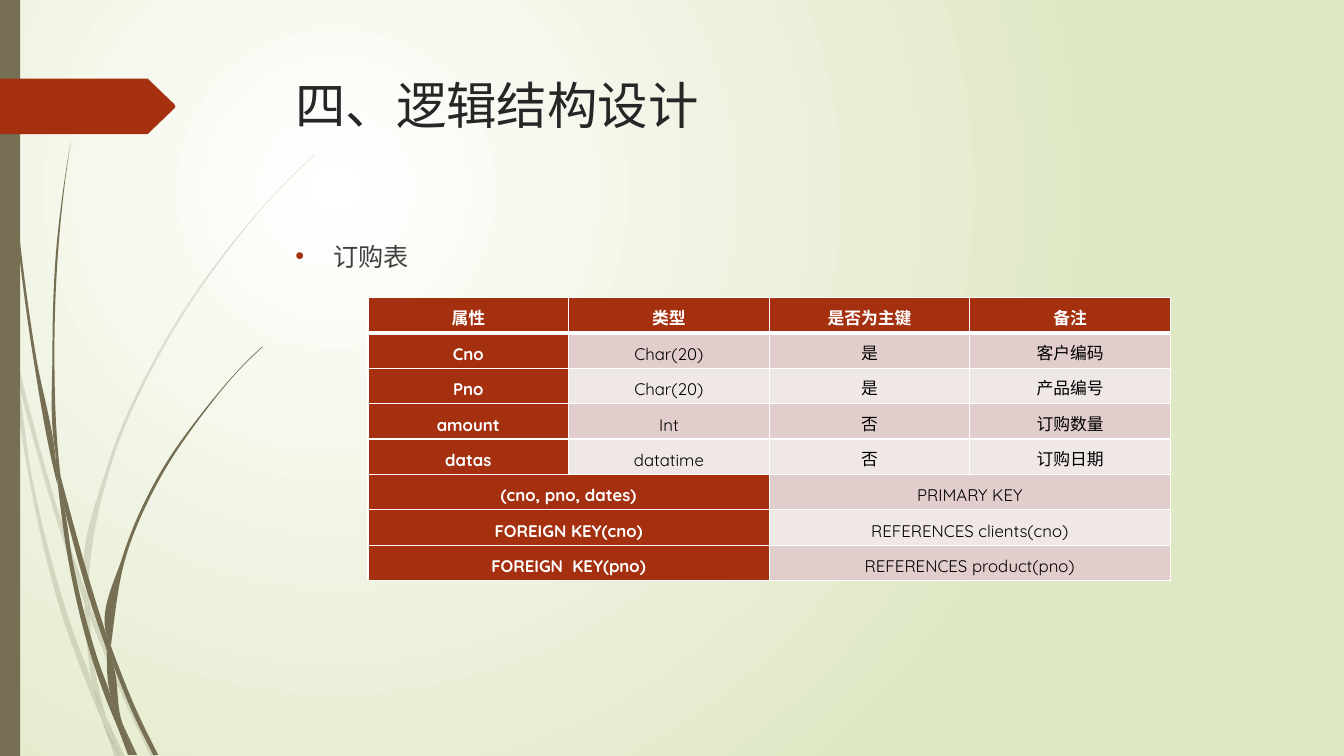
from lxml.etree import SubElement
from pptx import Presentation
from pptx.dml.color import RGBColor
from pptx.enum.text import MSO_ANCHOR as Anchor, PP_ALIGN as Align
from pptx.enum.shapes import MSO_SHAPE as Shape
from pptx.oxml import parse_xml
from pptx.oxml.ns import nsdecls, qn
from pptx.util import Inches, Pt

W, H = 13.33, 7.5
FONT = "Quicksand"
RED, OLIVE, WHITE, BLACK = "A53010", "766F54", "FFFFFF", "000000"
BANDS = ["E1CDCC", "F0E8E7"]

# Each blade piece has two edges, both running from one tip to the other
PALE_BLADES = [
    ([(0, 2.82), (0.09, 3.22), (0.11, 3.5)], [(0, 2.99), (0.1, 3.44), (0.11, 3.5)]),
    ([(0.14, 3.45), (0.62, 5.2), (0.85, 5.86)], [(0.17, 3.76), (0.58, 5.22), (0.84, 5.99)]),
    ([(0.88, 5.96), (0.92, 6.07), (1.27, 6.92), (1.55, 7.51)],
     [(0.88, 6.1), (1.23, 6.94), (1.5, 7.51)]),
    ([(1.05, 7.11), (1.24, 7.51)], [(1.05, 7.11), (1.19, 7.51)]),
    ([(0.11, 3.5), (0.17, 3.76), (0.31, 4.69), (0.7, 6.19), (0.93, 6.83), (1.01, 7.14)],
     [(0.11, 3.5), (0.28, 4.7), (0.65, 6.21), (0.92, 6.93), (1.01, 7.14)]),
    ([(0.84, 5.99), (0.88, 6.1), (0.91, 6.46), (1.05, 7.11)],
     [(0.84, 5.99), (0.87, 6.46), (0.93, 6.83), (1.05, 7.11)]),
    ([(3.12, 1.53), (2.89, 1.75), (2.68, 1.97), (2.28, 2.44), (1.58, 3.48), (1.07, 4.61),
      (0.85, 5.84), (0.88, 5.96)],
     [(3.12, 1.54), (2.9, 1.75), (2.68, 1.98), (2.29, 2.45), (1.6, 3.49), (1.1, 4.62),
      (0.88, 5.84), (0.88, 5.96)]),
    ([(1.01, 7.14), (1.19, 7.51)], [(1.01, 7.14), (1.14, 7.51)]),
    ([(0.85, 5.86), (0.88, 5.96), (0.88, 6.1)], [(0.85, 5.86), (0.84, 5.99), (0.88, 6.1)]),
    ([(0.93, 6.83), (1.05, 7.11), (1.19, 7.51)],
     [(0.93, 6.83), (0.99, 7.07), (1.01, 7.14), (1.19, 7.51)]),
]
DARK_BLADES = [
    ([(0.04, 0), (0.05, 0.48), (0.08, 1.09), (0.19, 2.32), (0.36, 3.55), (0.55, 4.53), (0.57, 4.81)],
     [(0.03, 0), (0.04, 0.48), (0.07, 1.1), (0.17, 2.33), (0.33, 3.55), (0.56, 4.77), (0.57, 4.81)]),
    ([(0.6, 4.72), (0.93, 5.9), (1.06, 6.31)], [(0.64, 5.05), (0.88, 5.92), (1.06, 6.45)]),
    ([(1.1, 6.41), (1.13, 6.49), (1.36, 7.06), (1.57, 7.49)],
     [(1.11, 6.56), (1.32, 7.08), (1.52, 7.49)]),
    ([(0.57, 4.77), (0.64, 5.05), (0.72, 5.56), (0.98, 6.57), (1.1, 6.91), (1.17, 7.22)],
     [(0.57, 4.77), (0.68, 5.57), (0.93, 6.59), (1.11, 7.08), (1.17, 7.22)]),
    ([(0.7, 1.41), (0.63, 1.93), (0.58, 2.45), (0.54, 3.49), (0.58, 4.53), (0.6, 4.72)],
     [(0.7, 1.41), (0.62, 1.93), (0.56, 2.45), (0.52, 3.49), (0.55, 4.49), (0.6, 4.72)]),
    ([(1.22, 7.19), (1.36, 7.49)], [(1.22, 7.19), (1.33, 7.49)]),
    ([(0.55, 4.49), (0.6, 4.72), (0.64, 5.05)], [(0.55, 4.49), (0.57, 4.77), (0.64, 5.05)]),
    ([(2.6, 3.44), (2.45, 3.58), (2.31, 3.73), (2.04, 4.05), (1.56, 4.74), (1.22, 5.51),
      (1.06, 6.31), (1.1, 6.41)],
     [(2.61, 3.44), (2.45, 3.59), (2.31, 3.74), (2.05, 4.06), (1.58, 4.76), (1.25, 5.52),
      (1.11, 6.33), (1.1, 6.41)]),
    ([(1.17, 7.22), (1.31, 7.49)], [(1.17, 7.22), (1.27, 7.49)]),
    ([(1.06, 6.45), (1.11, 6.56), (1.21, 7.16), (1.22, 7.19)],
     [(1.06, 6.45), (1.1, 6.91), (1.22, 7.19)]),
    ([(1.06, 6.31), (1.1, 6.41), (1.11, 6.56)], [(1.06, 6.31), (1.06, 6.45), (1.11, 6.56)]),
    ([(1.1, 6.91), (1.22, 7.19), (1.33, 7.49)], [(1.1, 6.91), (1.17, 7.22), (1.3, 7.49)]),
]

ROWS = [
    ["属性", "类型", "是否为主键", "备注"],
    ["Cno", "Char(20)", "是", "客户编码"],
    ["Pno", "Char(20)", "是", "产品编号"],
    ["amount", "Int", "否", "订购数量"],
    ["datas", "datatime", "否", "订购日期"],
    ["(cno, pno, dates)", "PRIMARY KEY"],
    ["FOREIGN KEY(cno)", "REFERENCES clients(cno)"],
    ["FOREIGN  KEY(pno)", "REFERENCES product(pno)"],
]


def rgb(color):
    return RGBColor.from_string(color)


def paint(sp, color):
    sp.shadow.inherit = False
    sp.fill.solid()
    sp.fill.fore_color.rgb = rgb(color)
    sp.line.fill.background()


def handles(edge):
    """Two Bézier control points for each step of a smooth edge."""
    pts = [complex(*pt) for pt in edge]
    steps = [b - a for a, b in zip(pts, pts[1:])]
    units = [d / abs(d) for d in steps]
    inner = [(u * abs(e) + v * abs(d)) / (abs(d) + abs(e))
             for d, e, u, v in zip(steps, steps[1:], units, units[1:])]
    ends = inner or units
    slopes = [1.5 * units[0] - 0.5 * ends[0], *inner, 1.5 * units[-1] - 0.5 * ends[-1]]
    return [(a + m * abs(d) / 3, a + d - n * abs(d) / 3)
            for a, d, m, n in zip(pts, steps, slopes, slopes[1:])]


def outline(shapes, x, y, points, color):
    emu = [(Inches(x + px), Inches(y + py)) for px, py in points]
    builder = shapes.build_freeform(*emu[0])
    builder.add_line_segments(emu[1:], close=True)
    sp = builder.convert_to_shape()
    paint(sp, color)
    return sp


def add_blade(shapes, x, y, left, right):
    back = right[::-1]
    joined = left[-1] == back[0]
    points = left + back[joined:]
    sp = outline(shapes, x, y, points, OLIVE)
    x0, y0 = (min(values) for values in zip(*points))
    controls = handles(left) + [None] * (not joined) + handles(back)
    for step, pair in zip(list(sp._element.iter(qn("a:lnTo"))), controls):
        if pair:
            step.tag = qn("a:cubicBezTo")
            for i, c in enumerate(pair):
                pt = parse_xml(f'<a:pt {nsdecls("a")} x="{Inches(c.real - x0)}" y="{Inches(c.imag - y0)}"/>')
                step.insert(i, pt)
    return sp


def add_backdrop(s):
    fill = s.background.fill
    fill.gradient()
    for stop, color in zip(fill.gradient_stops, (WHITE, "DFE8C4")):
        stop.color.rgb = rgb(color)
    grad = next(s._element.iter(qn("a:gradFill")))
    grad.remove(grad.find(qn("a:lin")))
    grad.append(parse_xml(
        f'<a:path {nsdecls("a")} path="circle">'
        '<a:fillToRect l="50000" t="50000" r="100000" b="100000"/></a:path>'))


def add_grass(s, x, y, blades, opacity=100):
    group = s.shapes.add_group_shape()
    for left, right in blades:
        sp = add_blade(group.shapes, x, y, left, right)
        if opacity < 100:
            color = next(sp._element.spPr.iter(qn("a:srgbClr")))
            SubElement(color, qn("a:alpha"), val=str(opacity * 1000))


def add_sidebar(s, x, y, w, h):
    paint(s.shapes.add_shape(Shape.RECTANGLE, Inches(x), Inches(y), Inches(w), Inches(h)), OLIVE)


def add_tag(s, x, y, w, h):
    tip = h / 2
    points = [(0, 0), (w - tip, 0), (w - 0.01, tip - 0.02), (w, tip), (w - 0.01, tip + 0.02),
              (w - tip, h), (0, h)]
    outline(s.shapes, x, y, points, RED)


def add_text(s, x, y, w, h, text, size, color):
    tf = s.shapes.add_textbox(Inches(x), Inches(y), Inches(w), Inches(h)).text_frame
    tf.word_wrap = True
    p = tf.paragraphs[0]
    p.text = text
    p.font.size, p.font.name, p.font.color.rgb = Pt(size), FONT, rgb(color)
    return p


def add_bullet(p, indent):
    p.space_before = Pt(10)
    pPr = p._p.get_or_add_pPr()
    pPr.set("marL", str(Inches(indent)))
    pPr.set("indent", str(-Inches(indent)))
    for xml in (f'<a:buClr {nsdecls("a")}><a:srgbClr val="{RED}"/></a:buClr>',
                f'<a:buFont {nsdecls("a")} typeface="Arial"/>',
                f'<a:buChar {nsdecls("a")} char="•"/>'):
        pPr.insert_element_before(parse_xml(xml), "a:tabLst", "a:defRPr", "a:extLst")


def style_cell(cell, row, fill):
    cell.fill.solid()
    cell.fill.fore_color.rgb = rgb(fill)
    cell.vertical_anchor = Anchor.MIDDLE
    cell.margin_left = cell.margin_right = Inches(0.07)
    cell.margin_top = cell.margin_bottom = 0
    for i, side in enumerate(("lnL", "lnR", "lnT", "lnB")):
        width = 3 if row == 0 and side == "lnB" else 1
        cell._tc.get_or_add_tcPr().insert(i, parse_xml(
            f'<a:{side} {nsdecls("a")} w="{Pt(width)}"><a:solidFill>'
            f'<a:srgbClr val="{WHITE}"/></a:solidFill></a:{side}>'))


def add_order_table(s, x, y, w, h):
    columns = len(ROWS[0])
    table = s.shapes.add_table(len(ROWS), columns, Inches(x), Inches(y), Inches(w), Inches(h)).table
    for row, texts in enumerate(ROWS):
        span = columns // len(texts)
        for col in range(columns):
            is_head = row == 0 or col < span
            cell = table.cell(row, col)
            style_cell(cell, row, RED if is_head else BANDS[(row - 1) % 2])
            if col % span:
                continue
            if span > 1:
                cell.merge(table.cell(row, col + span - 1))
            p = cell.text_frame.paragraphs[0]
            p.text = texts[col // span]
            p.alignment, p.line_spacing = Align.CENTER, Pt(20)
            p.font.size, p.font.name, p.font.bold = Pt(12), FONT, is_head
            p.font.color.rgb = rgb(WHITE if is_head else BLACK)


def main():
    prs = Presentation()
    prs.slide_width, prs.slide_height = Inches(W), Inches(H)
    s = prs.slides.add_slide(prs.slide_layouts[6])
    # Decoration
    add_backdrop(s)
    add_grass(s, 0, 0, PALE_BLADES, opacity=20)
    add_grass(s, 0, 0, DARK_BLADES)
    add_sidebar(s, 0, 0, 0.2, H)
    add_tag(s, 0, 0.78, 1.74, 0.55)
    # Content
    add_text(s, 2.83, 0.69, 9.75, 1.4, "四、逻辑结构设计", 36, "262626")
    add_bullet(add_text(s, 2.83, 2.34, 9.75, 4.13, "订购表", 18, "404040"), 0.38)
    add_order_table(s, 3.65, 2.95, 7.96, 2.81)
    prs.save("out.pptx")


if __name__ == "__main__":
    main()
